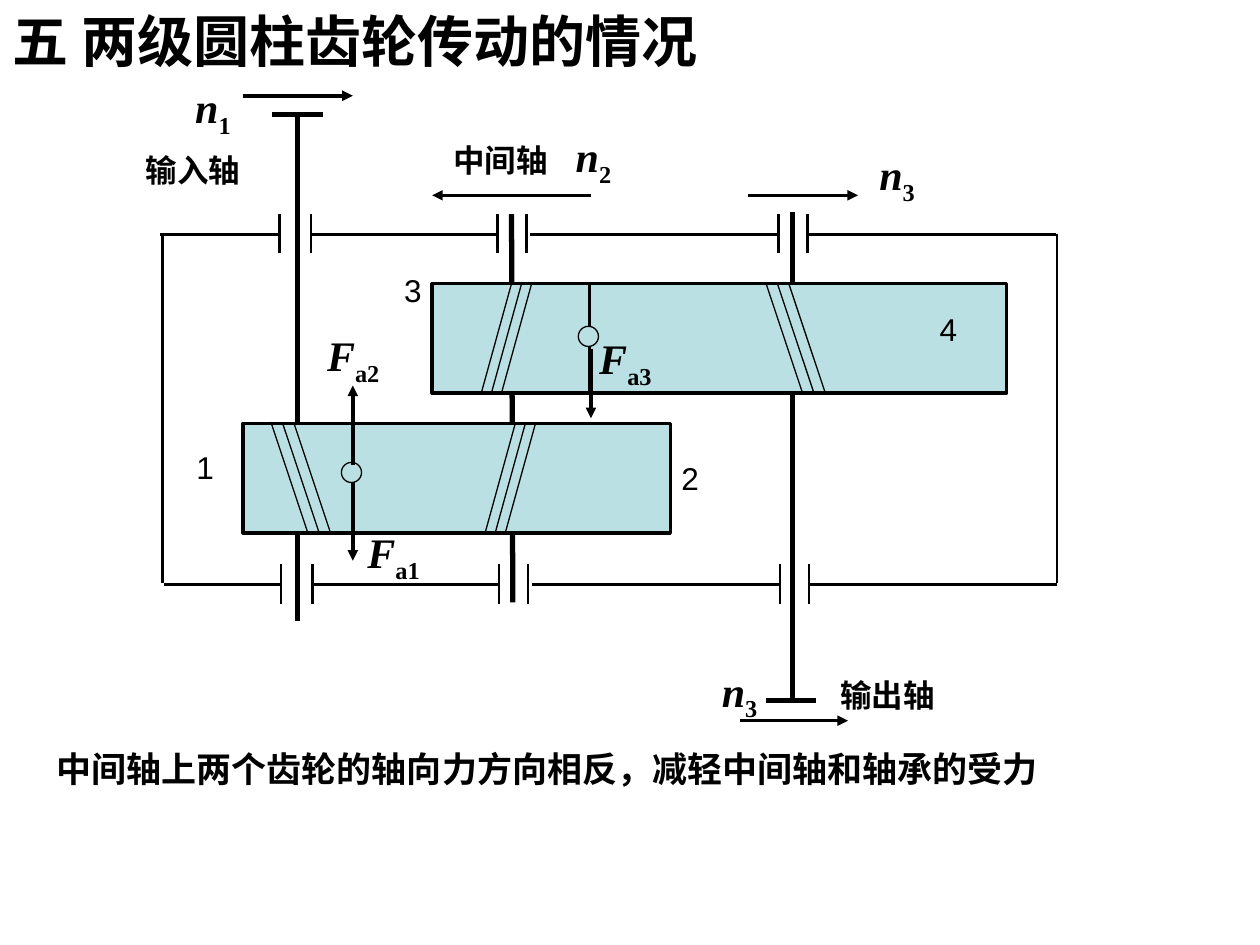
"""Draw a two-stage cylindrical gear train with its axial forces."""
import pptx
import pptx.dml.color
import pptx.enum.shapes
import pptx.enum.text
import pptx.oxml
import pptx.oxml.ns
import pptx.util

COLORS = {"ink": "000000", "gear": "BBE0E3"}
FONTS = {"body": "Arial", "cjk": "Noto Sans CJK SC", "math": "Times New Roman"}
COLS, ROWS = 100, 75
ALIGN = pptx.enum.text.PP_ALIGN
SHAPE = pptx.enum.shapes.MSO_SHAPE


def rgb(name):
    return pptx.dml.color.RGBColor.from_string(COLORS[name])


def add_child(parent, tag, **attrs):
    child = pptx.oxml.parse_xml(f"<{tag} {pptx.oxml.ns.nsdecls('a')}/>")
    for key, value in attrs.items():
        child.set(key, value)
    parent.append(child)


def write(p, text, size=18, bold=False, italic=False, font="body", baseline=0):
    r = p.add_run()
    r.text = text
    r.font.size = pptx.util.Pt(size)
    r.font.bold, r.font.italic = bold, italic
    r.font.color.rgb = rgb("ink")
    r.font.name = FONTS[font]
    rPr = r.font._element
    add_child(rPr, "a:ea", typeface=FONTS["cjk"])
    if baseline:
        rPr.set("baseline", str(baseline * 1000))


class Diagram:
    """Holds the slide and its grid, and draws each kind of element."""

    def __init__(self, prs):
        self.s = prs.slides.add_slide(prs.slide_layouts[5])
        self.dx = prs.slide_width / COLS
        self.dy = prs.slide_height / ROWS

    def place(self, x, y, w, h):
        return [int(x * self.dx), int(y * self.dy), int(w * self.dx), int(h * self.dy)]

    def frame(self, sp, align):
        tf = sp.text_frame
        tf.word_wrap = True
        tf.auto_size = pptx.enum.text.MSO_AUTO_SIZE.NONE
        tf.vertical_anchor = pptx.enum.text.MSO_ANCHOR.TOP
        p = tf.paragraphs[0]
        p.alignment = align
        p.space_before = pptx.util.Pt(0)
        return p

    def title(self, text, x, y, w, h):
        sp = self.s.shapes.title
        sp.left, sp.top, sp.width, sp.height = self.place(x, y, w, h)
        write(self.frame(sp, ALIGN.LEFT), text, size=32, bold=True, font="cjk")

    def label(self, text, x, y, w=3.9, h=4, **fmt):
        sp = self.s.shapes.add_textbox(*self.place(x, y, w, h))
        write(self.frame(sp, ALIGN.LEFT), text, **fmt)

    def symbol(self, letter, index, x, y):
        sp = self.s.shapes.add_textbox(*self.place(x, y, 9.5, 5.6))
        p = self.frame(sp, ALIGN.RIGHT)
        write(p, letter, size=24, bold=True, italic=True, font="math")
        write(p, index, size=24, bold=True, font="math", baseline=-25)

    def line(self, x1, y1, x2, y2, width=1.5, arrow=False):
        ends = self.place(x1, y1, x2, y2)
        sp = self.s.shapes.add_connector(pptx.enum.shapes.MSO_CONNECTOR.STRAIGHT, *ends)
        sp.line.color.rgb = rgb("ink")
        sp.line.width = pptx.util.Pt(width)
        if arrow:
            add_child(sp.line._get_or_add_ln(), "a:tailEnd", type="triangle")
        add_child(sp._element.spPr, "a:effectLst")

    def arrow(self, x1, y1, x2, y2):
        self.line(x1, y1, x2, y2, width=2, arrow=True)

    def shape(self, kind, x, y, w, h, width):
        sp = self.s.shapes.add_shape(kind, *self.place(x, y, w, h))
        sp.shadow.inherit = False
        sp.fill.solid()
        sp.fill.fore_color.rgb = rgb("gear")
        sp.line.color.rgb = rgb("ink")
        sp.line.width = pptx.util.Pt(width)

    def housing_wall(self, y, shift, left):
        for x in (22.2, 24.7, 39.5, 41.8, 61.8, 64.1):
            self.line(x + shift, y - 1.6, x + shift, y + 1.5)
        for x1, x2 in ((left, 22.2), (24.8, 39.5), (42.1, 61.8), (64.2, 83.8)):
            self.line(x1 + shift, y, x2 + shift, y)

    def teeth(self, x, y, gap, lean):
        for i in range(3):
            self.line(x + i * gap, y, x + i * gap + lean, y + 8.7, width=0.75)


def main():
    prs = pptx.Presentation()
    prs.slide_width, prs.slide_height = pptx.util.Inches(10), pptx.util.Inches(7.5)
    d = Diagram(prs)
    d.title("五 两级圆柱齿轮传动的情况", 0, 0, 61, 6.4)

    for x1, y1, x2, y2 in ((23.6, 9.1, 23.6, 49.3), (40.6, 17, 40.7, 47.8),
                           (62.9, 16.8, 62.9, 55.6), (21.6, 9.1, 25.6, 9.1),
                           (60.8, 55.6, 64.8, 55.6)):
        d.line(x1, y1, x2, y2, width=3)

    for x, y, w in ((28, 33.6, 25.2), (19.3, 33.6, 8.7), (34.3, 22.5, 12.5), (46.8, 22.5, 33.1)):
        d.shape(SHAPE.RECTANGLE, x, y, w, 8.7, 2)
    for x, y in ((27.1, 36.7), (45.9, 25.9)):
        d.shape(SHAPE.OVAL, x, y, 1.6, 1.6, 0.75)

    d.housing_wall(18.6, 0, 12.7)
    d.housing_wall(46.4, 0.1, 12.9)
    for x in (12.9, 83.9):
        d.line(x, 18.6, x, 46.3)

    for x, y, gap, lean in ((40.9, 33.6, 0.8, -2.4), (40.6, 22.5, 0.8, -2.4),
                            (60.8, 22.5, 0.9, 2.9), (21.5, 33.5, 0.9, 2.9)):
        d.teeth(x, y, gap, lean)

    for text, x, y in (("输入轴", 10.6, 11.5), ("输出轴", 65.7, 53.2), ("中间轴", 35, 10.7)):
        d.label(text, x, y, w=11, bold=True)
    for text, x, y in (("1", 14.6, 35.1), ("2", 53.1, 35.9), ("3", 31.1, 21), ("4", 73.6, 24.1)):
        d.label(text, x, y)

    for ends in ((19.3, 7.6, 28, 7.6), (46.9, 15.5, 34.3, 15.5), (59.4, 15.5, 68.1, 15.5),
                 (58.7, 57.2, 67.3, 57.2), (28, 36.9, 28, 30.6), (28, 39, 28, 44.5),
                 (46.9, 27.7, 46.9, 33.2)):
        d.arrow(*ends)
    for letter, index, x, y in (("n", "1", 9.8, 6), ("n", "2", 40, 9.9), ("n", "3", 64.1, 11.3),
                                ("n", "3", 51.6, 52.3), ("F", "a1", 24.8, 41.3),
                                ("F", "a2", 21.6, 25.7), ("F", "a3", 43.2, 25.9)):
        d.symbol(letter, index, x, y)

    d.label("中间轴上两个齿轮的轴向力方向相反，减轻中间轴和轴承的受力",
            3.5, 58.8, w=80.3, h=4.4, size=20, bold=True)
    prs.save("out.pptx")


if __name__ == "__main__":
    main()
